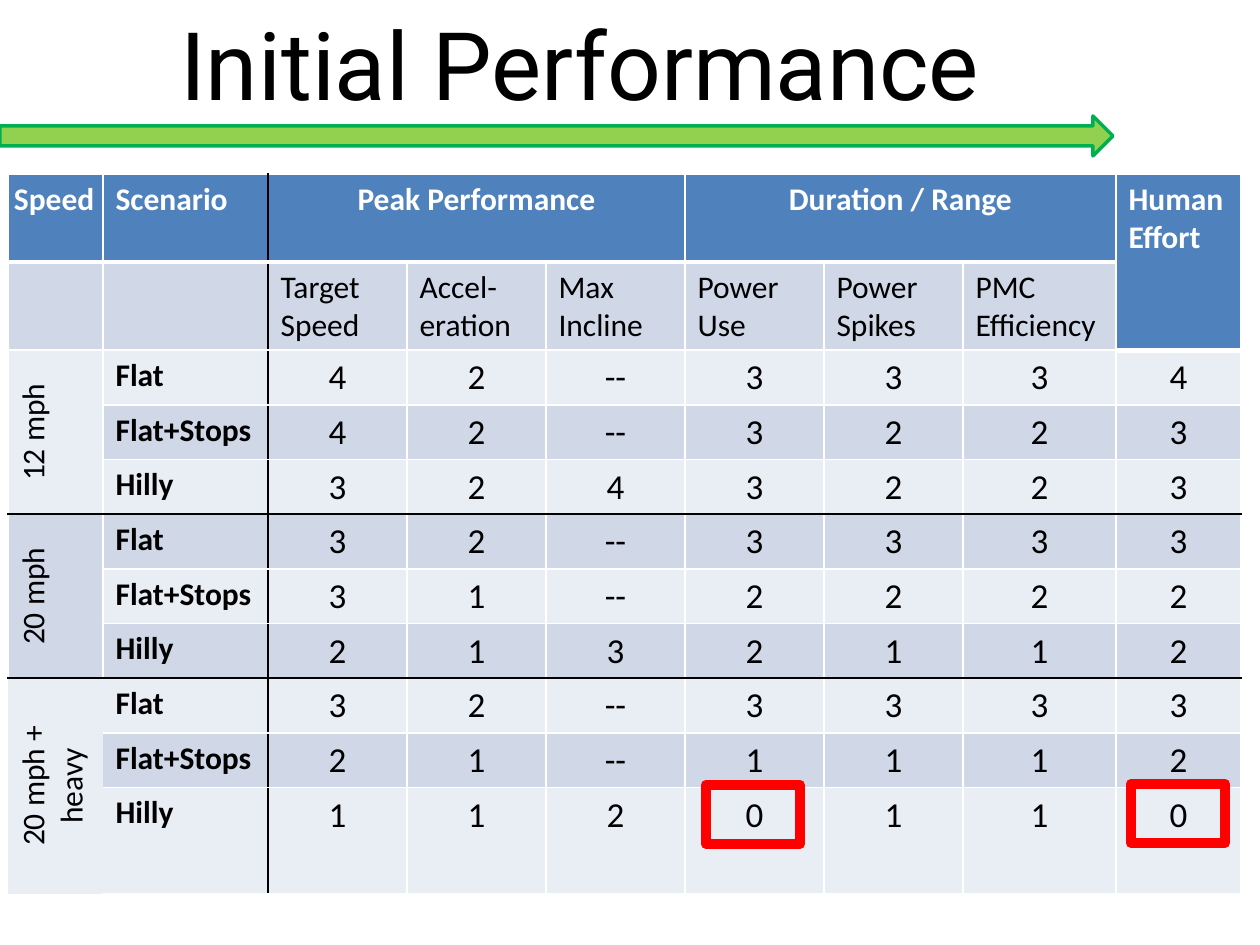
from lxml import etree
from pptx import Presentation
from pptx.dml.color import RGBColor
from pptx.enum.shapes import MSO_SHAPE
from pptx.enum.text import MSO_ANCHOR, PP_ALIGN
from pptx.oxml.ns import qn
from pptx.util import Pt

PX = 914400 // 126
CENTER, LEFT = PP_ALIGN.CENTER, PP_ALIGN.LEFT
MIDDLE = MSO_ANCHOR.MIDDLE
BLACK, WHITE = RGBColor(0, 0, 0), RGBColor(255, 255, 255)
BLUE = RGBColor(0x4F, 0x81, 0xBD)
BAND_DARK, BAND_LIGHT = RGBColor(0xD0, 0xD8, 0xE8), RGBColor(0xE9, 0xED, 0xF4)
LIME, GREEN = RGBColor(0x92, 0xD0, 0x50), RGBColor(0, 0xB0, 0x50)
RED = RGBColor(255, 0, 0)

# Content
TITLE = "Initial Performance"
HEADINGS = {0: "Speed", 1: "Scenario", 2: "Peak Performance",
            5: "Duration / Range", 8: "Human Effort"}
MEASURES = ["Target Speed", "Accel-eration", "Max Incline",
            "Power Use", "Power Spikes", "PMC Efficiency"]
SCENARIOS = ["Flat", "Flat+Stops", "Hilly"]
SCORES = {
    "12 mph": ["4 2 -- 3 3 3 4", "4 2 -- 3 2 2 3", "3 2 4 3 2 2 3"],
    "20 mph": ["3 2 -- 3 3 3 3", "3 1 -- 2 2 2 2", "2 1 3 2 1 1 2"],
    "20 mph + heavy": ["3 2 -- 3 3 3 3", "2 1 -- 1 1 1 2", "1 1 2 0 1 1 0"],
}
COLUMN_WIDTHS = [95, 165, 139, 139, 139, 139, 139, 153, 125]
ROW_HEIGHTS = [88, 39] + [52] * 9
FIRST_SCORE_ROW, GROUP = 2, len(SCENARIOS)
LAST_GROUP_ROW = FIRST_SCORE_ROW + 2 * GROUP
ZERO_MARKS = [(706, 785), (1131, 784)]


def box(left, top, width, height):
    return [v * PX for v in (left, top, width, height)]


def add_outlined(preset, place, fill, line, weight):
    shape = slide.shapes.add_shape(preset, *box(*place))
    shape.shadow.inherit = False
    if fill is None:
        shape.fill.background()
    else:
        shape.fill.solid()
        shape.fill.fore_color.rgb = fill
    shape.line.color.rgb = line
    shape.line.width = Pt(weight)


def write(cell, text, color=BLACK, size=18, bold=False, align=LEFT):
    cell.text = text
    paragraph = cell.text_frame.paragraphs[0]
    paragraph.alignment = align
    font = paragraph.font
    font.name, font.size, font.bold = "Calibri", Pt(size), bold
    font.color.rgb = color


def set_borders(cell, borders):
    """borders: side -> (colour, points), or None for no line."""
    props = cell._tc.get_or_add_tcPr()
    for place, side in enumerate("LRTB"):
        line = etree.Element(qn("a:ln" + side))
        if borders[side] is None:
            etree.SubElement(line, qn("a:noFill"))
        else:
            color, points = borders[side]
            line.set("w", str(Pt(points)))
            solid = etree.SubElement(line, qn("a:solidFill"))
            etree.SubElement(solid, qn("a:srgbClr"), val=str(color))
        props.insert(place, line)


def borders_at(row, col):
    thin_white, thin_black = (WHITE, 1), (BLACK, 1)
    borders = dict.fromkeys("LRTB", thin_white)
    if row == 0 or (row == 1 and col == 8):
        borders["B"] = (WHITE, 3)
    if row == 1 and col < 8:
        borders["T"] = (WHITE, 3)
    # Black rules split the speed groups and the scenario column
    group, step = divmod(row - FIRST_SCORE_ROW, GROUP)
    if group in (0, 1) and (step == GROUP - 1 or col == 0):
        borders["B"] = thin_black
    if group in (1, 2) and step == 0:
        borders["T"] = thin_black
    if col == 1:
        borders["R"] = thin_black
    if col == 2:
        borders["L"] = thin_black
    if row >= LAST_GROUP_ROW and col == 0:
        borders.update(L=None, R=None, B=None)
    if row >= LAST_GROUP_ROW and col == 1:
        borders["L"] = None
    return borders


def fill_at(row, col):
    if row == 0 or (row == 1 and col == 8):
        return BLUE
    if col == 0 and row >= FIRST_SCORE_ROW:
        row -= (row - FIRST_SCORE_ROW) % GROUP
    return BAND_DARK if row % 2 else BAND_LIGHT


prs = Presentation()
prs.slide_width, prs.slide_height = 1260 * PX, 945 * PX
slide = prs.slides.add_slide(prs.slide_layouts[6])

# Title
title = slide.shapes.add_textbox(*box(168, 0, 1113, 127)).text_frame
title.word_wrap = True
title.text = TITLE
title_font = title.paragraphs[0].font
title_font.name, title_font.size = "Roboto", Pt(54)
title_font.color.rgb = BLACK

# Progress arrow
add_outlined(MSO_SHAPE.RIGHT_ARROW, (0, 116, 1113, 40), LIME, GREEN, 2)

# Score table: sizes, fills and borders
table = slide.shapes.add_table(
    len(ROW_HEIGHTS), len(COLUMN_WIDTHS),
    *box(8, 174, sum(COLUMN_WIDTHS), sum(ROW_HEIGHTS))).table
for column, width in zip(table.columns, COLUMN_WIDTHS):
    column.width = width * PX
for row, height in zip(table.rows, ROW_HEIGHTS):
    row.height = height * PX
for r in range(len(ROW_HEIGHTS)):
    for c in range(len(COLUMN_WIDTHS)):
        cell = table.cell(r, c)
        write(cell, "")
        cell.fill.solid()
        cell.fill.fore_color.rgb = fill_at(r, c)
        set_borders(cell, borders_at(r, c))

# Headings
for c, heading in HEADINGS.items():
    write(table.cell(0, c), heading, WHITE, bold=True,
          align=CENTER if c in (2, 5) else LEFT)
speed = table.cell(0, 0)
speed.margin_left = speed.margin_right = 6 * PX
table.cell(0, 2).merge(table.cell(0, 4))
table.cell(0, 5).merge(table.cell(0, 7))
table.cell(0, 8).merge(table.cell(1, 8))
for c, measure in enumerate(MEASURES, 2):
    write(table.cell(1, c), measure)

# Speed groups
for g, (label, group_rows) in enumerate(SCORES.items()):
    top = FIRST_SCORE_ROW + g * GROUP
    label_cell = table.cell(top, 0)
    write(label_cell, label, align=CENTER)
    label_cell.vertical_anchor = MIDDLE
    label_cell._tc.get_or_add_tcPr().set("vert", "vert270")
    label_cell.merge(table.cell(top + GROUP - 1, 0))
    for r, (scenario, scores) in enumerate(zip(SCENARIOS, group_rows), top):
        write(table.cell(r, 1), scenario, bold=True)
        for c, score in enumerate(scores.split(), 2):
            write(table.cell(r, c), score, size=20, align=CENTER)

# Red frames around the zero scores
for left, top in ZERO_MARKS:
    add_outlined(MSO_SHAPE.RECTANGLE, (left, top, 94, 59), None, RED, 6)

prs.save("out.pptx")
